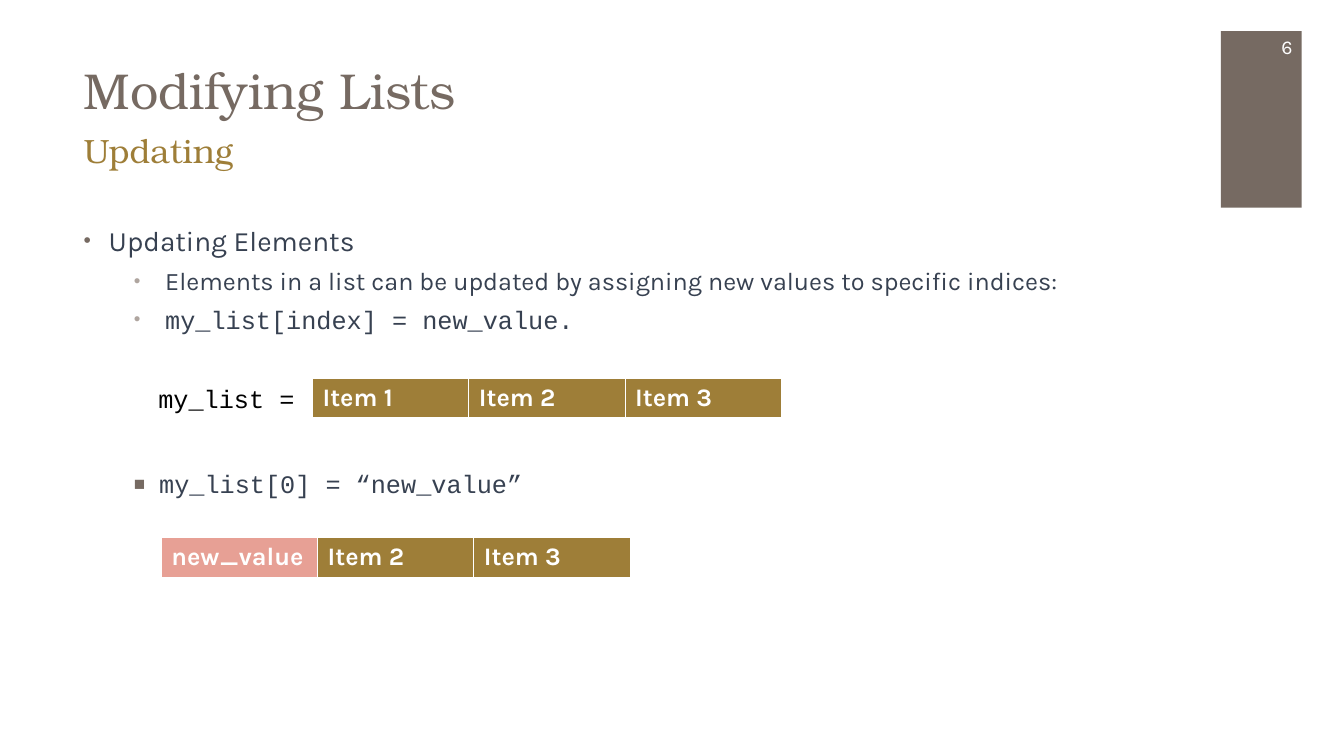
from dataclasses import dataclass
from lxml.etree import SubElement as Sub
from pptx import Presentation
from pptx.dml.color import RGBColor as RGB
from pptx.enum.shapes import MSO_SHAPE as Shape
from pptx.enum.text import MSO_ANCHOR as Anchor, PP_ALIGN as Align
from pptx.oxml.ns import qn
from pptx.util import Inches, Pt


@dataclass(frozen=True)
class Theme:
    serif: str = "TeX Gyre Bonum"
    sans: str = "Karla"
    mono: str = "Courier New"
    brown: str = "766A62"
    taupe: str = "AFA59F"
    gold: str = "9E7E38"
    rose: str = "E7A095"
    slate: str = "374151"
    white: str = "FFFFFF"
    black: str = "000000"
    head: int = 36
    sub: int = 24
    lead: int = 20
    text: int = 18
    note: int = 14


T = Theme()
WIDE, HIGH = 13.33, 7.5
LEFT, SPAN = 0.73, 11.02
TAB, COL, ROW = 12.11, 1.55, 0.41

TITLE = "Modifying Lists"
SUB = "Updating"
PAGE = "6"
LABEL = "my_list = "
POINTS = [
    ("Updating Elements", T.sans, T.lead, 0.25, 0.25, "•", T.brown, 0),
    ("Elements in a list can be updated by assigning new values to specific indices:",
     T.sans, T.text, 0.81, 0.31, "•", T.taupe, 6),
    ("my_list[index] = new_value.", T.mono, T.text, 0.81, 0.31, "•", T.taupe, 6),
]
STEP = [("my_list[0] = “new_value”", T.mono, T.text, 0.75, 0.25, "■", T.brown, 0)]
LISTS = [
    (3.1, 3.75, [("Item 1", T.gold), ("Item 2", T.gold), ("Item 3", T.gold)]),
    (1.6, 5.33, [("new_value", T.rose), ("Item 2", T.gold), ("Item 3", T.gold)]),
]
EDGES = [("a:lnL", 1), ("a:lnR", 1), ("a:lnT", 1), ("a:lnB", 3)]


def style(para, face, size, color, bold=False):
    font = para.font
    font.name, font.size, font.bold = face, Pt(size), bold
    font.color.rgb = RGB.from_string(color)


def place(item, x, y, w, h):
    item.left, item.top, item.width, item.height = map(Inches, (x, y, w, h))


def write(slide, box, words, face, size, color, align=Align.LEFT, anchor=Anchor.TOP):
    frame = slide.shapes.add_textbox(*map(Inches, box)).text_frame
    frame.word_wrap = True
    frame.vertical_anchor = anchor
    para = frame.paragraphs[0]
    para.text, para.alignment = words, align
    style(para, face, size, color)


def mark(para, sign, color, left, hang):
    props = para._p.get_or_add_pPr()
    props.set("marL", str(Inches(left)))
    props.set("indent", str(-Inches(hang)))
    Sub(Sub(props, qn("a:buClr")), qn("a:srgbClr"), val=color)
    Sub(props, qn("a:buSzPct"), val="75000")
    Sub(props, qn("a:buFont"), typeface="Arial")
    Sub(props, qn("a:buChar"), char=sign)


def bullets(slide, box, points):
    frame = slide.shapes.add_textbox(*map(Inches, box)).text_frame
    frame.word_wrap = True
    for i, (words, face, size, left, hang, sign, color, gap) in enumerate(points):
        para = frame.add_paragraph() if i else frame.paragraphs[0]
        para.text = words
        mark(para, sign, color, left, hang)
        para.space_before = Pt(gap)
        style(para, face, size, T.slate)


def border(cell):
    props = cell._tc.get_or_add_tcPr()
    for tag, size in EDGES:
        line = Sub(props, qn(tag), w=str(Pt(size)))
        Sub(Sub(line, qn("a:solidFill")), qn("a:srgbClr"), val=T.white)


def strip(slide, x, y, items):
    box = map(Inches, (x, y, COL * len(items), ROW))
    table = slide.shapes.add_table(1, len(items), *box).table
    table.horz_banding = False
    for cell, (words, color) in zip(table.iter_cells(), items):
        border(cell)
        cell.fill.solid()
        cell.fill.fore_color.rgb = RGB.from_string(color)
        cell.text = words
        style(cell.text_frame.paragraphs[0], T.sans, T.text, T.white, True)


def main():
    deck = Presentation()
    deck.slide_width, deck.slide_height = Inches(WIDE), Inches(HIGH)
    slide = deck.slides.add_slide(deck.slide_layouts[5])

    flag = slide.shapes.add_shape(Shape.RECTANGLE, *map(Inches, (TAB, 0.31, 0.8, 1.75)))
    flag.shadow.inherit = False
    flag.fill.solid()
    flag.fill.fore_color.rgb = RGB.from_string(T.brown)
    flag.line.fill.background()

    title = slide.shapes.title
    place(title, LEFT, 0.15, SPAN, 1.09)
    title.text = TITLE
    title.text_frame.vertical_anchor = Anchor.BOTTOM
    para = title.text_frame.paragraphs[0]
    para.alignment = Align.LEFT
    style(para, T.serif, T.head, T.brown)

    write(slide, (LEFT, 1.24, SPAN, 0.85), SUB, T.serif, T.sub, T.gold)
    write(slide, (TAB, 0.26, 0.81, 0.4), PAGE, T.sans, T.note, T.white,
          Align.RIGHT, Anchor.MIDDLE)
    bullets(slide, (LEFT, 2.17, SPAN, 1.4), POINTS)
    bullets(slide, (LEFT, 4.6, SPAN, 0.4), STEP)
    write(slide, (1.41, 3.75, 1.82, 0.4), LABEL, T.mono, T.text, T.black, Align.CENTER)
    for x, y, items in LISTS:
        strip(slide, x, y, items)
    deck.save("out.pptx")


if __name__ == "__main__":
    main()
